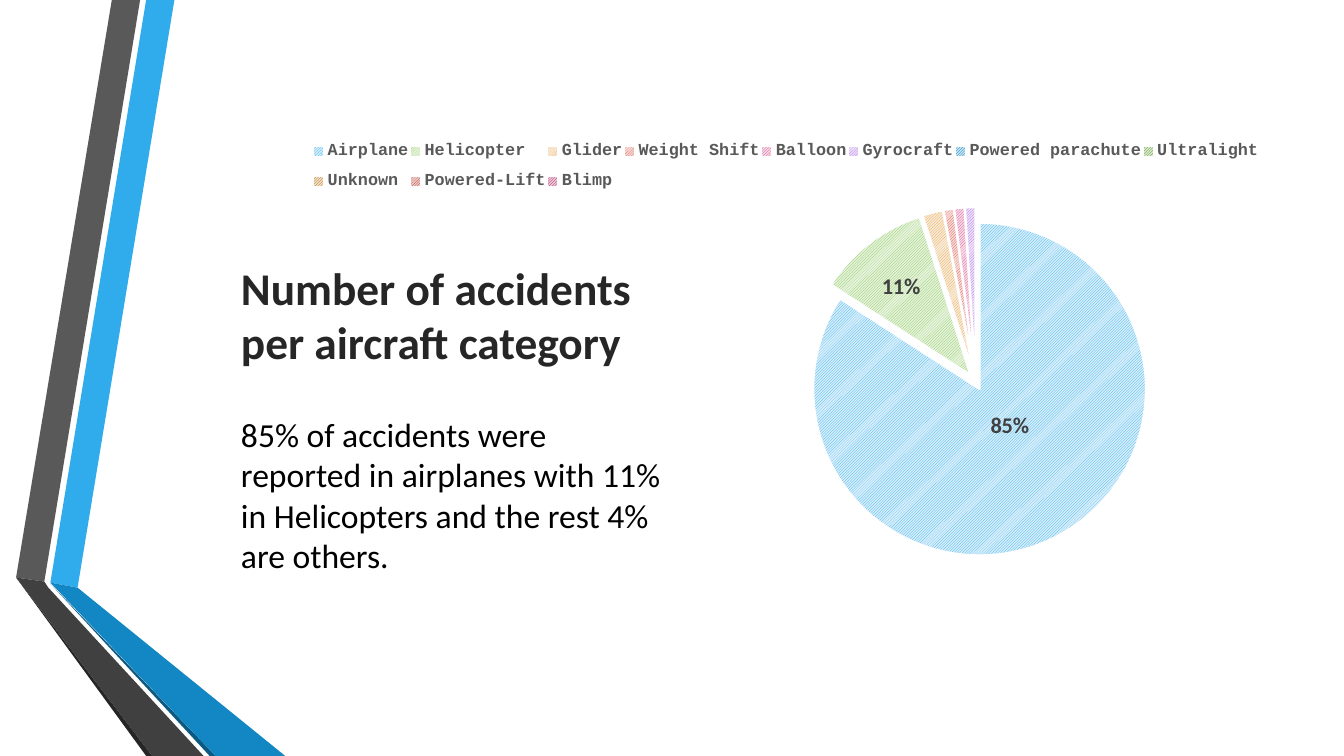
from dataclasses import dataclass

from lxml import etree
from pptx import Presentation
from pptx.chart.data import CategoryChartData
from pptx.dml.color import RGBColor
from pptx.enum.chart import XL_CHART_TYPE, XL_LABEL_POSITION, XL_LEGEND_POSITION
from pptx.enum.dml import MSO_PATTERN
from pptx.enum.text import MSO_ANCHOR, MSO_AUTO_SIZE, PP_ALIGN
from pptx.oxml.ns import qn
from pptx.util import Pt

PIE = XL_CHART_TYPE.PIE
CENTER = XL_LABEL_POSITION.CENTER
LEGEND_TOP = XL_LEGEND_POSITION.TOP
HATCH = MSO_PATTERN.LIGHT_UPWARD_DIAGONAL
TOP, MIDDLE = MSO_ANCHOR.TOP, MSO_ANCHOR.MIDDLE
LEFT = PP_ALIGN.LEFT
NO_FIT = MSO_AUTO_SIZE.NONE

PX = 9144  # EMU per px, 100 px to the inch


@dataclass(frozen=True)
class Theme:
    font: str = "Calibri"
    legend_font: str = "Courier New"
    title_size: float = 32.4
    body_size: float = 24
    label_size: float = 16
    legend_size: float = 12
    chart_size: float = 10
    title: str = "262626"
    text: str = "000000"
    label: str = "404040"
    legend: str = "595959"
    slice_edge: str = "FFFFFF"


THEME = Theme()

# Side ribbon: colour and outline in px
RIBBON = [
    ("30ACEC", [(50, 578), (77, 583), (173, 0), (145, 0)]),
    ("595959", [(139, 0), (111, 0), (16, 573), (44, 577)]),
    ("262626", [(16, 573), (145, 750), (151, 750)]),
    ("0C5A82", [(50, 579), (208, 750), (214, 750)]),
    ("1287C3", [(50, 578), (214, 750), (283, 750), (77, 583)]),
    ("404040", [(202, 750), (48, 583), (44, 577), (16, 573), (151, 750)]),
]

# Category, percent of accidents, hatch colour, ground colour
CATEGORIES = [
    ("Airplane", 85, "30ACEC", "D6EEFB"),
    ("Helicopter", 11, "80C34F", "E6F3DC"),
    ("Glider", 2, "E29D3E", "F9EBD8"),
    ("Weight Shift", 1, "D64A3B", "F7DBD8"),
    ("Balloon", 1, "D64787", "F7DAE7"),
    ("Gyrocraft", 1, "A666E1", "EDE0F9"),
    ("Powered parachute", 0, "0E6C9C", "C1E6F9"),
    ("Ultralight", 0, "4C7B2A", "DAEDCB"),
    ("Unknown", 0, "966117", "F6E1C4"),
    ("Powered-Lift", 0, "87271C", "F3CAC6"),
    ("Blimp", 0, "8C1F50", "F3C8DB"),
]

# Shares of the chart: areas are x, y, w, h; label shifts are x, y
PLOT_AREA = (0.4, 0.22, 0.6, 0.75)
LEGEND_AREA = (0, 0.03, 1, 0.16)
LABEL_SHIFTS = [(-0.01, -0.08), (-0.02, -0.05)]
PERCENT = '[>=10]0"%";""'


def rgb(value):
    return RGBColor.from_string(value)


def style_font(font, name, size, color, bold=False):
    font.name, font.size, font.bold = name, Pt(size), bold
    font.color.rgb = rgb(color)


def write(tf, text, *, size, color, bold=False, anchor=TOP, before=0, after=0):
    tf.word_wrap, tf.auto_size, tf.vertical_anchor = True, NO_FIT, anchor
    p = tf.paragraphs[0]
    p.alignment, p.space_before, p.space_after = LEFT, Pt(before), Pt(after)
    r = p.add_run()
    r.text = text
    style_font(r.font, THEME.font, size, color, bold)
    return p


def set_layout(parent, index, values, settings=()):
    """Give a chart part a manual layout as its child at index."""
    old = parent.find(qn("c:layout"))
    if old is not None:
        parent.remove(old)
    layout = etree.Element(qn("c:layout"))
    parent.insert(index, layout)
    manual = etree.SubElement(layout, qn("c:manualLayout"))
    for tag, val in [*settings, *zip("xywh", values)]:
        etree.SubElement(manual, qn("c:" + tag), val=str(val))


class SlideBuilder:
    def __init__(self, prs, theme):
        self.theme = theme
        self.s = prs.slides.add_slide(prs.slide_layouts[1])

    def place(self, sp, left, top, width, height):
        sp.left, sp.top = left * PX, top * PX
        sp.width, sp.height = width * PX, height * PX

    def title(self, text, box):
        sp = self.s.shapes.title
        self.place(sp, *box)
        write(sp.text_frame, text, size=self.theme.title_size,
              color=self.theme.title, bold=True)

    def body(self, text, box):
        sp = self.s.placeholders[1]
        self.place(sp, *box)
        p = write(sp.text_frame, text, size=self.theme.body_size,
                  color=self.theme.text, anchor=MIDDLE, before=5, after=6)
        pPr = p._p.get_or_add_pPr()
        pPr.set("marL", "0")
        pPr.set("indent", "0")
        etree.SubElement(pPr, qn("a:buNone"))

    def polygon(self, color, points):
        builder = self.s.shapes.build_freeform(*points[0], scale=PX)
        builder.add_line_segments(points[1:], close=True)
        sp = builder.convert_to_shape()
        sp.shadow.inherit = False
        sp.fill.solid()
        sp.fill.fore_color.rgb = rgb(color)
        sp.line.fill.background()

    def pie(self, rows, box, explosion):
        theme = self.theme
        data = CategoryChartData()
        data.categories = [row[0] for row in rows]
        data.add_series("Series 1", [row[1] for row in rows])
        chart = self.s.shapes.add_chart(PIE, *(n * PX for n in box), data).chart
        chart.has_title = False
        style_font(chart.font, theme.font, theme.chart_size, theme.text)

        # Legend across the full width
        edges = [("xMode", "edge"), ("yMode", "edge")]
        chart.has_legend = True
        chart.legend.position = LEGEND_TOP
        chart.legend.include_in_layout = False
        style_font(chart.legend.font, theme.legend_font, theme.legend_size,
                   theme.legend, True)
        set_layout(chart.legend._element, 1, LEGEND_AREA, edges)

        # Plot area
        set_layout(chart._chartSpace.chart.plotArea, 0, PLOT_AREA,
                   [("layoutTarget", "inner"), *edges])

        # Hatched slices
        plot = chart.plots[0]
        plot.vary_by_categories = True
        series = plot.series[0]
        for i, (_, _, hatch, ground) in enumerate(rows):
            fmt = series.points[i].format
            fmt.fill.patterned()
            fmt.fill.pattern = HATCH
            fmt.fill.fore_color.rgb = rgb(hatch)
            fmt.fill.back_color.rgb = rgb(ground)
            fmt.line.color.rgb = rgb(theme.slice_edge)
            fmt.line.width = Pt(1.5)
        for point in series._element.findall(qn("c:dPt")):
            pull = etree.Element(qn("c:explosion"), val=str(explosion))
            point.find(qn("c:spPr")).addprevious(pull)

        # Labels on the large slices only
        labels = series.data_labels
        labels.show_value = True
        labels.number_format = PERCENT
        labels.number_format_is_linked = False
        labels.position = CENTER
        style_font(labels.font, theme.font, theme.label_size, theme.label, True)
        for i, shift in enumerate(LABEL_SHIFTS):
            label = series.points[i].data_label
            label.position = CENTER
            style_font(label.font, theme.font, theme.label_size, theme.label, True)
        for dLbl, shift in zip(labels._element.findall(qn("c:dLbl")), LABEL_SHIFTS):
            set_layout(dLbl, 1, shift)
            dLbl.insert(2, etree.Element(qn("c:numFmt"), formatCode=PERCENT,
                                         sourceLinked="0"))


def main():
    prs = Presentation()
    prs.slide_width, prs.slide_height = 1333 * PX, 750 * PX
    slide = SlideBuilder(prs, THEME)
    for color, points in RIBBON:
        slide.polygon(color, points)
    slide.body("85% of accidents were reported in airplanes with 11% in "
               "Helicopters and the rest 4% are others.", (229, 411, 449, 159))
    slide.pie(CATEGORIES, (309, 117, 941, 440), explosion=5)
    slide.title("Number of accidents per aircraft category", (229, 253, 409, 172))
    prs.save("out.pptx")


if __name__ == "__main__":
    main()
